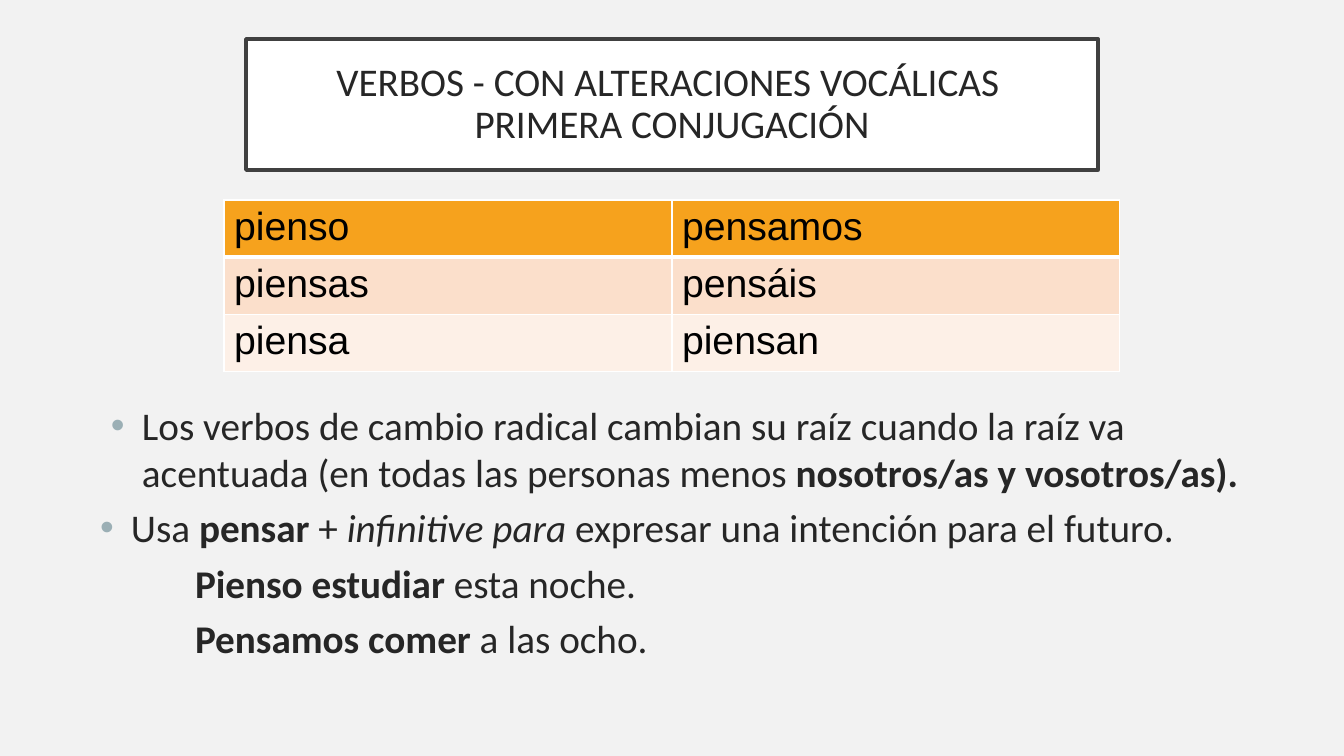
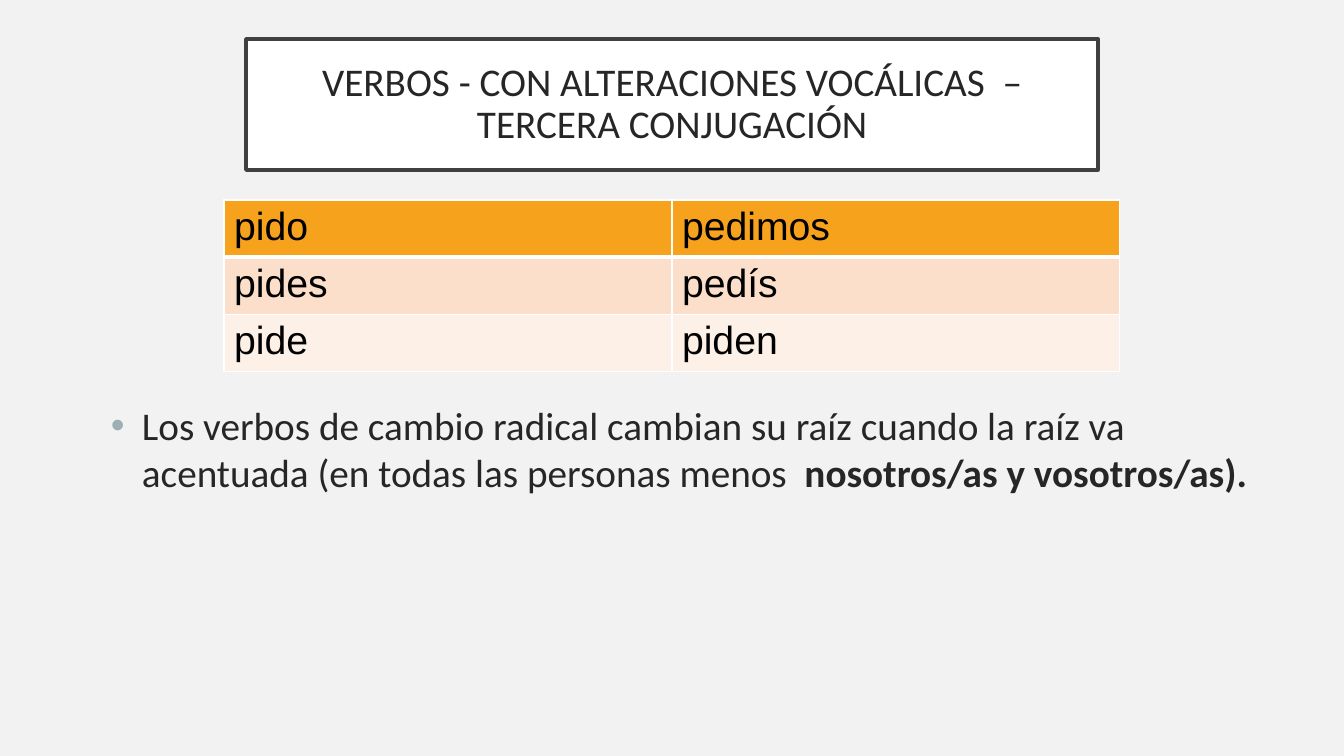
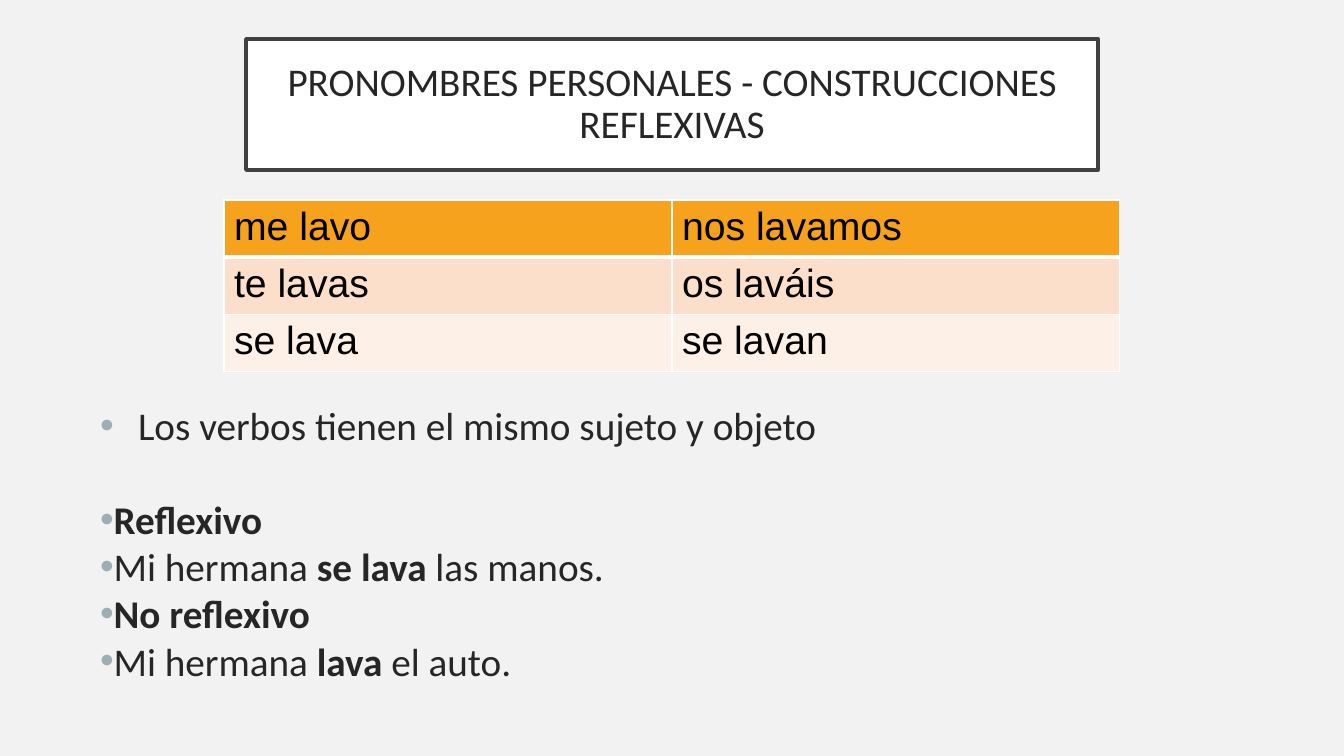
from lxml import etree
from pptx import Presentation
from pptx.dml.color import RGBColor
from pptx.enum.shapes import MSO_SHAPE
from pptx.enum.text import MSO_ANCHOR, PP_ALIGN
from pptx.oxml.ns import qn
from pptx.util import Emu, Pt

RECT = MSO_SHAPE.RECTANGLE
MIDDLE, TOP = MSO_ANCHOR.MIDDLE, MSO_ANCHOR.TOP
CENTER, LEFT = PP_ALIGN.CENTER, PP_ALIGN.LEFT

COLORS = {
    "page": "F2F2F2", "white": "FFFFFF", "frame": "404040", "ink": "262626",
    "cell": "000000", "bullet": "9BAFB5",
}
ROW_FILLS = ["F6A21D", "FBDFCB", "FDF0E7"]
SIZE = 28
ROW, COL = 54, 448

BOLD, ITALIC = {"bold": True}, {"italic": True}
# Indents in px, space before in points
ROOT = {"left": 42, "hang": 31}
USE = {"left": 31, "hang": 31, "before": 6}
SAMPLE = {"left": 95, "bullet": False, "before": 6}
FIRST = {"left": 38, "hang": 38}
APART = {"before": 34}
TIGHT = {}

ROOT_TEXT = ("Los verbos de cambio radical cambian su raíz cuando la raíz va "
             "acentuada (en todas las personas menos ")
ROOT_END = ("nosotros/as y vosotros/as).", BOLD)

SLIDES = [
    ("VERBOS - CON ALTERACIONES VOCÁLICAS \vPRIMERA CONJUGACIÓN",
     [("pienso", "pensamos"), ("piensas", "pensáis"), ("piensa", "piensan")],
     [(ROOT, [(ROOT_TEXT, {}), ROOT_END]),
      (USE, [("Usa ", {}), ("pensar ", BOLD), ("+ ", {}),
             ("infinitive para", ITALIC),
             (" expresar una intención para el futuro.", {})]),
      (SAMPLE, [("Pienso estudiar ", BOLD), ("esta noche.", {})]),
      (SAMPLE, [("Pensamos comer ", BOLD), ("a las ocho.", {})])]),
    ("VERBOS - CON ALTERACIONES VOCÁLICAS  – TERCERA CONJUGACIÓN",
     [("pido", "pedimos"), ("pides", "pedís"), ("pide", "piden")],
     [(ROOT, [(ROOT_TEXT + " ", {}), ROOT_END])]),
    ("PRONOMBRES PERSONALES - CONSTRUCCIONES REFLEXIVAS",
     [("me lavo", "nos lavamos"), ("te lavas", "os laváis"),
      ("se lava", "se lavan")],
     [(FIRST, [("Los verbos tienen el mismo sujeto y objeto", {})]),
      (APART, [("Reflexivo", BOLD)]),
      (TIGHT, [("Mi hermana ", {}), ("se lava ", BOLD), ("las manos.", {})]),
      (TIGHT, [("No reflexivo", BOLD)]),
      (TIGHT, [("Mi hermana ", {}), ("lava ", BOLD), ("el auto.", {})])]),
]


def px(n):
    return Emu(round(n * 914400 / 100.8))


def box(*sides):
    return [px(n) for n in sides]


def rgb(name):
    return RGBColor.from_string(COLORS.get(name, name))


def paint(fill, name):
    fill.solid()
    fill.fore_color.rgb = rgb(name)


def assign(item, values):
    for name, value in values.items():
        setattr(item, name, value)


def style(font, color="ink", face="Calibri", **extra):
    assign(font, {"name": face, "size": Pt(SIZE), **extra})
    font.color.rgb = rgb(color)


def set_frame(frame, anchor, side, edge):
    assign(frame, {
        "word_wrap": True, "vertical_anchor": anchor,
        "margin_left": px(side), "margin_right": px(side),
        "margin_top": px(edge), "margin_bottom": px(edge),
    })


def add_color(parent, name):
    etree.SubElement(parent, qn("a:srgbClr"), val=COLORS[name])


def add_title(slide, text):
    shape = slide.shapes.add_shape(RECT, *box(246, 39, 852, 131))
    shape.shadow.inherit = False
    paint(shape.fill, "white")
    paint(shape.line.fill, "frame")
    shape.line.width = Pt(2.5)
    set_frame(shape.text_frame, MIDDLE, 20, 20)
    para = shape.text_frame.paragraphs[0]
    assign(para, {"text": text, "alignment": CENTER, "line_spacing": 0.9})
    for run in para.runs:
        style(run.font)


def indent(para, left=0, hang=0, before=0, bullet=True):
    """Set space before, left margin, hanging indent and bullet."""
    assign(para, {"alignment": LEFT, "space_before": Pt(before)})
    props = para._p.get_or_add_pPr()
    props.set("marL", str(px(left)))
    props.set("indent", str(-px(hang)))
    if bullet:
        add_color(etree.SubElement(props, qn("a:buClr")), "bullet")
        font = etree.SubElement(props, qn("a:buFont"))
        font.set("typeface", "Arial")
        etree.SubElement(props, qn("a:buChar"), char="•")


def add_body(slide, items):
    frame = slide.shapes.add_textbox(*box(90, 396, 1189, 342)).text_frame
    set_frame(frame, TOP, 10, 5)
    for num, (layout, parts) in enumerate(items):
        para = frame.add_paragraph() if num else frame.paragraphs[0]
        indent(para, **layout)
        for text, look in parts:
            run = para.add_run()
            run.text = text
            style(run.font, **look)


def add_edges(cell, row):
    """Draw white cell borders, thick below the first row."""
    props = cell._tc.get_or_add_tcPr()
    widths = {"L": 1, "R": 1, "T": 3 if row == 1 else 1,
              "B": 3 if row == 0 else 1}
    for spot, (side, width) in enumerate(widths.items()):
        line = etree.Element(qn("a:ln" + side), w=str(Pt(width)))
        add_color(etree.SubElement(line, qn("a:solidFill")), "white")
        props.insert(spot, line)


def add_forms(slide, rows):
    count, width = len(rows), len(rows[0])
    table = slide.shapes.add_table(
        count, width, *box(224, 200, COL * width, ROW * count)).table
    for col in table.columns:
        col.width = px(COL)
    for num, words in enumerate(rows):
        table.rows[num].height = px(ROW)
        for spot, word in enumerate(words):
            cell = table.cell(num, spot)
            cell.text = word
            paint(cell.fill, ROW_FILLS[num])
            add_edges(cell, num)
            style(cell.text_frame.paragraphs[0].runs[0].font,
                  "cell", "Arial", bold=False)


def main():
    deck = Presentation()
    assign(deck, {"slide_width": px(1344), "slide_height": px(756)})
    paint(deck.slide_master.background.fill, "page")
    for title, rows, items in SLIDES:
        slide = deck.slides.add_slide(deck.slide_layouts[6])
        add_title(slide, title)
        add_body(slide, items)
        add_forms(slide, rows)
    deck.save("out.pptx")


if __name__ == "__main__":
    main()
